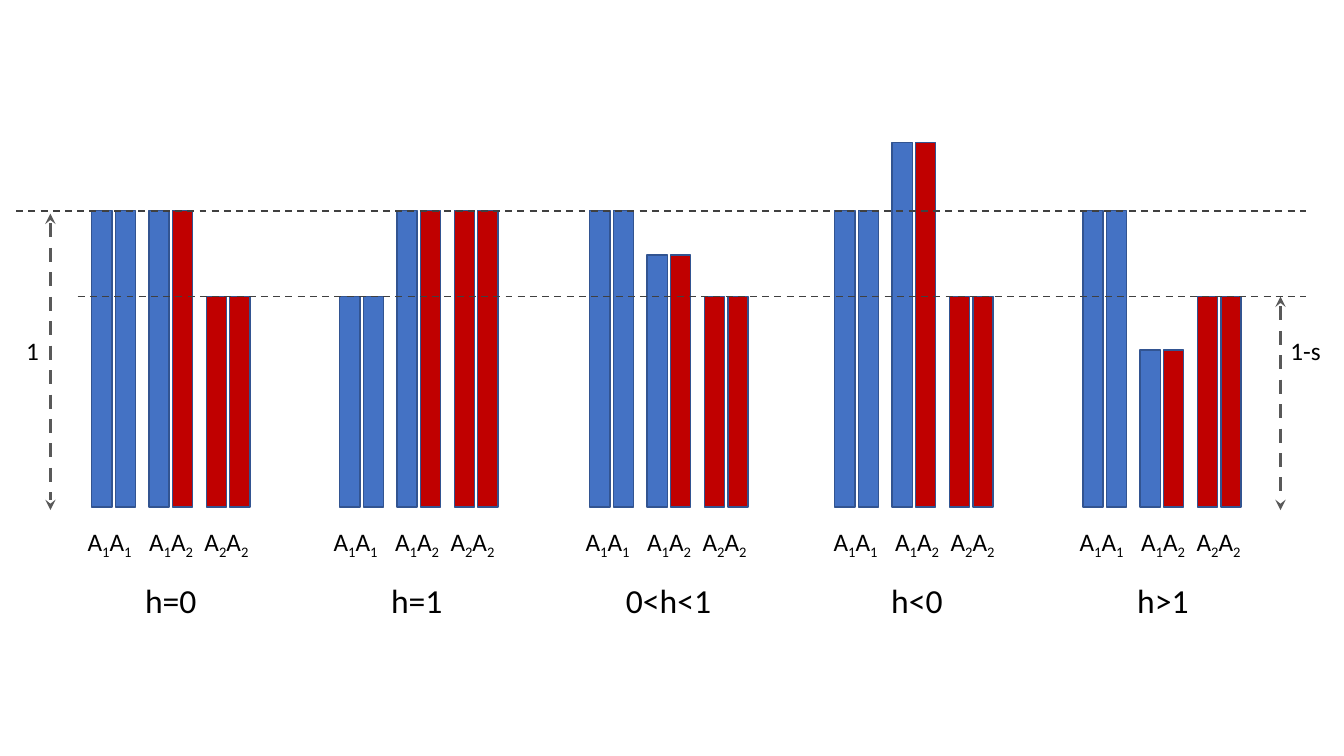
from typing import NamedTuple

from lxml import etree
from pptx import Presentation
from pptx.dml.color import RGBColor
from pptx.enum.dml import MSO_LINE
from pptx.enum.shapes import MSO_CONNECTOR, MSO_SHAPE
from pptx.enum.text import MSO_AUTO_SIZE
from pptx.oxml.ns import qn
from pptx.util import Inches, Pt

RECTANGLE = MSO_SHAPE.RECTANGLE
STRAIGHT = MSO_CONNECTOR.STRAIGHT
DASH = MSO_LINE.DASH
FIT_TEXT = MSO_AUTO_SIZE.SHAPE_TO_FIT_TEXT

COLORS = {
    "allele 1": "4472C4",
    "allele 2": "C00000",
    "bar outline": "325491",
    "arrow": "595959",
    "level": "404040",
    "text": "000000",
}
FONT = "Calibri"

# Grid: ten columns and ten rows to the inch
CELL = Inches(0.1)
BASELINE = 50.3
FULL_HEIGHT = 29.4
BAR_WIDTH = 2
BAR_PITCH = 2.33
PAIR_PITCH = 5.68
LABEL_OFFSETS = (0, 6.1, 11.6)
LABEL_ROW, TITLE_ROW, MEASURE_ROW = 51.7, 57, 32.8
TITLE_CENTER = 9.3
LOW = 0.71  # fitness 1-s as a share of full height
GENOTYPES = ("11", "12", "22")


class Scenario(NamedTuple):
    title: str
    title_width: float
    bars_left: float
    labels_left: float
    fitness: tuple[float, float, float]


class Line(NamedTuple):
    start: tuple[float, float]
    end: tuple[float, float]
    color: str
    width: float
    arrows: bool = False


SCENARIOS = (
    Scenario("h=0", 7.2, 9.1, 7.7, (1, 1, LOW)),
    Scenario("h=1", 7.2, 33.7, 32.1, (LOW, 1, 1)),
    Scenario("0<h<1", 10.6, 58.5, 57.1, (1, 0.85, LOW)),
    Scenario("h<0", 7.2, 82.8, 81.7, (1, 1.23, LOW)),
    Scenario("h>1", 7.2, 107.4, 106.1, (1, 0.53, LOW)),
)


def level(fitness: float) -> float:
    """Row at which a bar of this fitness ends."""
    return BASELINE - FULL_HEIGHT * fitness


LINES = (
    Line((5, 21.2), (5, 50.6), "arrow", 2.5, arrows=True),
    Line((127, level(LOW)), (127, 50.6), "arrow", 2.5, arrows=True),
    Line((1.6, level(1)), (129.5, level(1)), "level", 1.25),
    Line((7.7, level(LOW)), (129.5, level(LOW)), "level", 1.25),
)


def grid(*cells: float) -> list[int]:
    return [round(cell * CELL) for cell in cells]


def color(name: str) -> RGBColor:
    return RGBColor.from_string(COLORS[name])


def add_bar(left: float, fitness: float, allele: str) -> None:
    top = level(fitness)
    bar = slide.shapes.add_shape(
        RECTANGLE, *grid(left, top, BAR_WIDTH, BASELINE - top))
    bar.shadow.inherit = False
    bar.fill.solid()
    bar.fill.fore_color.rgb = color(f"allele {allele}")
    bar.line.color.rgb = color("bar outline")
    bar.line.width = Pt(1)


def add_text(*pieces: str, left: float, top: float, width: float,
             height: float = 4, size: float = 18) -> None:
    """Pieces alternate between normal text and subscript."""
    box = slide.shapes.add_textbox(*grid(left, top, width, height))
    box.text_frame.word_wrap = False
    box.text_frame.auto_size = FIT_TEXT
    paragraph = box.text_frame.paragraphs[0]
    for index, piece in enumerate(pieces):
        run = paragraph.add_run()
        run.text = piece
        run.font.name = FONT
        run.font.size = Pt(size)
        run.font.color.rgb = color("text")
        if index % 2:
            run.font._element.set("baseline", "-25000")


def add_line(line: Line) -> None:
    connector = slide.shapes.add_connector(
        STRAIGHT, *grid(*line.start, *line.end))
    connector.line.color.rgb = color(line.color)
    connector.line.width = Pt(line.width)
    connector.line.dash_style = DASH
    if line.arrows:
        outline = connector.line._get_or_add_ln()
        for end in ("a:headEnd", "a:tailEnd"):
            etree.SubElement(outline, qn(end), type="stealth")
    etree.SubElement(connector._element.spPr, qn("a:effectLst"))


def add_scenario(scenario: Scenario) -> None:
    for pair, (genotype, fitness) in enumerate(zip(GENOTYPES, scenario.fitness)):
        for position, allele in enumerate(genotype):
            left = scenario.bars_left + pair * PAIR_PITCH + position * BAR_PITCH
            add_bar(left, fitness, allele)
        first, second = genotype
        add_text("A", first, "A", second, top=LABEL_ROW, width=6.6,
                 left=scenario.labels_left + LABEL_OFFSETS[pair])
    add_text(scenario.title, top=TITLE_ROW, width=scenario.title_width,
             left=scenario.labels_left + TITLE_CENTER - scenario.title_width / 2,
             height=5, size=24)


presentation = Presentation()
presentation.slide_width = Inches(13.33)
presentation.slide_height = Inches(7.5)
slide = presentation.slides.add_slide(presentation.slide_layouts[6])

# Bars, genotype labels and titles
for scenario in SCENARIOS:
    add_scenario(scenario)

# Fitness levels and their measures
for line in LINES:
    add_line(line)
add_text("1", left=1.6, top=MEASURE_ROW, width=3.3)
add_text("1-s", left=127, top=MEASURE_ROW, width=5.1)

presentation.save("out.pptx")
